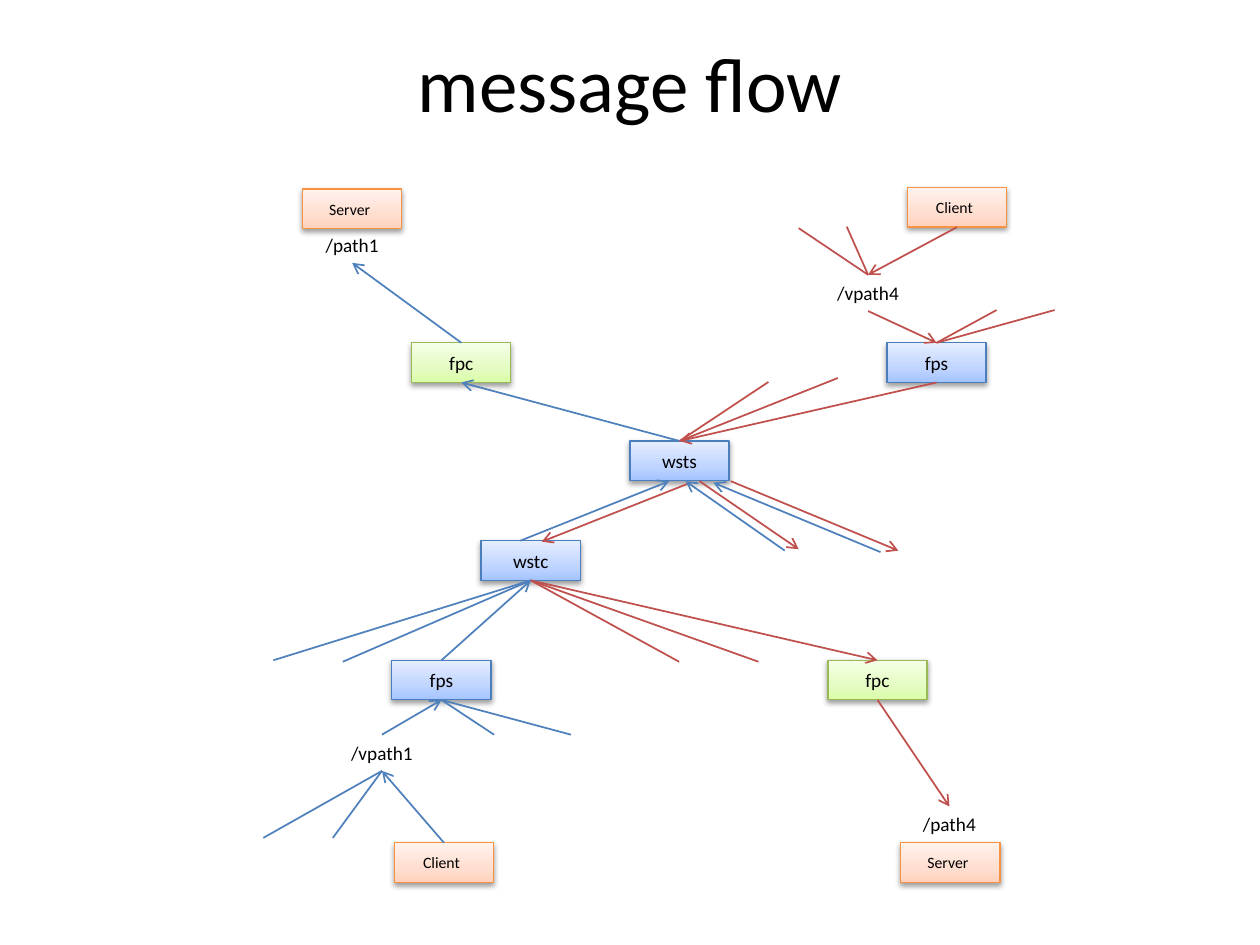
from typing import NamedTuple, Union

from lxml.etree import SubElement
from pptx import Presentation
from pptx.dml.color import RGBColor
from pptx.enum.shapes import MSO_CONNECTOR as CONN, MSO_SHAPE as SHAPE
from pptx.enum.text import MSO_ANCHOR as ANCHOR, PP_ALIGN as ALIGN
from pptx.oxml import parse_xml
from pptx.oxml.ns import nsdecls, qn
from pptx.util import Cm, Pt

BLUE, RED, BLACK = "4F81BD", "C0504D", "000000"
TOP, BOTTOM = 0, 2  # connection sites of a rectangle
BOX_W, BOX_H, LABEL_H = 2.0, 0.8, 0.73


class Style(NamedTuple):
    line: str
    stops: tuple[str, str, str]  # gradient from bottom to top
    size: int
    margin_right: float


class Node(NamedTuple):
    key: str
    text: str
    left: float
    top: float
    style: Union[Style, None] = None  # None: plain label


class Port(NamedTuple):
    key: str
    site: int


class Point(NamedTuple):
    x: float
    y: float


End = Union[Port, Point]


class Flow(NamedTuple):
    color: str
    start: End
    end: End


class Fan(NamedTuple):
    color: str
    hub: Port
    ends: tuple[Point, ...]


SOCKET = Style("4B7EBC", ("A4C4FF", "BFD4FF", "E6EEFF"), 11, 0)
PROXY = Style("98B955", ("DAFDA7", "E4FCC2", "F5FFE7"), 11, 0)
ENDPOINT = Style("F69240", ("FFD2BD", "FFDED0", "FFF2ED"), 9, 0.1)

NODES = [
    Node("wsts", "wsts", 12.7, 8.89, SOCKET),
    Node("wstc", "wstc", 9.7, 10.9, SOCKET),
    # Upper left and lower left: blue route
    Node("server1", "Server", 6.1, 3.81, ENDPOINT),
    Node("path1", "/path1", 6.1, 4.57),
    Node("fpc1", "fpc", 8.3, 6.91, PROXY),
    Node("fps1", "fps", 7.9, 13.31, SOCKET),
    Node("vpath1", "/vpath1", 6.7, 14.81),
    Node("client1", "Client", 7.95, 16.99, ENDPOINT),
    # Upper right and lower right: red route
    Node("client4", "Client", 18.29, 3.78, ENDPOINT),
    Node("vpath4", "/vpath4", 16.5, 5.54),
    Node("fps4", "fps", 17.88, 6.91, SOCKET),
    Node("fpc4", "fpc", 16.69, 13.31, PROXY),
    Node("path4", "/path4", 18.14, 16.26),
    Node("server4", "Server", 18.16, 16.99, ENDPOINT),
]

FLOWS = [
    Flow(BLUE, Port("client1", TOP), Port("vpath1", BOTTOM)),
    Flow(BLUE, Port("vpath1", TOP), Port("fps1", BOTTOM)),
    Flow(BLUE, Port("fps1", TOP), Port("wstc", BOTTOM)),
    Flow(BLUE, Point(10.49, 10.9), Point(13.49, 9.7)),
    Flow(BLUE, Port("wsts", TOP), Port("fpc1", BOTTOM)),
    Flow(BLUE, Port("fpc1", TOP), Port("path1", BOTTOM)),
    Flow(RED, Port("client4", BOTTOM), Port("vpath4", TOP)),
    Flow(RED, Port("vpath4", BOTTOM), Port("fps4", TOP)),
    Flow(RED, Port("fps4", BOTTOM), Port("wsts", TOP)),
    Flow(RED, Point(13.92, 9.73), Point(10.92, 10.92)),
    Flow(RED, Port("wstc", BOTTOM), Port("fpc4", TOP)),
    Flow(RED, Port("fpc4", BOTTOM), Port("path4", TOP)),
    # Exchange between wsts and other clients
    Flow(RED, Point(14.1, 9.7), Point(16.1, 11.07)),
    Flow(RED, Point(14.73, 9.7), Point(18.11, 11.1)),
    Flow(BLUE, Point(15.82, 11.1), Point(13.82, 9.7)),
    Flow(BLUE, Point(17.75, 11.13), Point(14.38, 9.73)),
]

FANS = [
    Fan(RED, Port("vpath4", TOP), (Point(17.07, 4.57), Point(16.1, 4.6))),
    Fan(RED, Port("fps4", TOP), (Point(20.09, 6.25), Point(21.26, 6.25))),
    Fan(RED, Port("wsts", TOP), (Point(16.89, 7.62), Point(15.49, 7.7))),
    Fan(RED, Port("wstc", BOTTOM), (Point(15.29, 13.34), Point(13.69, 13.34))),
    Fan(BLUE, Port("wstc", BOTTOM), (Point(6.91, 13.34), Point(5.51, 13.31))),
    Fan(BLUE, Port("fps1", BOTTOM), (Point(9.96, 14.81), Point(11.51, 14.81))),
    Fan(BLUE, Port("vpath1", BOTTOM), (Point(6.71, 16.89), Point(5.31, 16.89))),
]


def rgb(color: str) -> RGBColor:
    return RGBColor.from_string(color)


def write(sp, text: str, *, size: int, color: str = BLACK, font: str = "Calibri",
          anchor=ANCHOR.MIDDLE, wrap: bool = True) -> None:
    tf = sp.text_frame
    tf.word_wrap = wrap
    tf.vertical_anchor = anchor
    p = tf.paragraphs[0]
    p.alignment = ALIGN.CENTER
    r = p.add_run()
    r.text = text
    r.font.size, r.font.name = Pt(size), font
    r.font.color.rgb = rgb(color)


def shade(sp, style: Style) -> None:
    """Give a box its vertical gradient and soft shadow."""
    stops = "".join(f'<a:gs pos="{pos}"><a:srgbClr val="{color}"/></a:gs>'
                    for pos, color in zip((0, 35000, 100000), style.stops))
    sp.fill.background()
    spPr = sp.element.spPr
    spPr.replace(spPr.find(qn("a:noFill")), parse_xml(
        f'<a:gradFill {nsdecls("a")} rotWithShape="1"><a:gsLst>{stops}</a:gsLst>'
        '<a:lin ang="16200000" scaled="0"/></a:gradFill>'))
    sp.shadow.inherit = False
    spPr.find(qn("a:effectLst")).append(parse_xml(
        f'<a:outerShdw {nsdecls("a")} blurRad="40000" dist="20000" dir="5400000" '
        'rotWithShape="0"><a:srgbClr val="000000"><a:alpha val="38000"/>'
        '</a:srgbClr></a:outerShdw>'))


def add_node(s, node: Node):
    style = node.style
    place = Cm(node.left), Cm(node.top), Cm(BOX_W)
    if style is None:
        sp = s.shapes.add_textbox(*place, Cm(LABEL_H))
        write(sp, node.text, size=11, anchor=ANCHOR.TOP)
        return sp
    sp = s.shapes.add_shape(SHAPE.RECTANGLE, *place, Cm(BOX_H))
    sp.line.color.rgb = rgb(style.line)
    sp.line.width = Pt(0.75)
    shade(sp, style)
    write(sp, node.text, size=style.size)
    sp.text_frame.margin_left = 0
    sp.text_frame.margin_right = Cm(style.margin_right)
    return sp


def locate(end: End, nodes: dict) -> tuple[int, int]:
    if isinstance(end, Point):
        return Cm(end.x), Cm(end.y)
    sp = nodes[end.key]
    return sp.left + sp.width // 2, sp.top + (sp.height if end.site == BOTTOM else 0)


def add_line(s, nodes: dict, flow: Flow, arrow: bool) -> None:
    line = s.shapes.add_connector(
        CONN.STRAIGHT, *locate(flow.start, nodes), *locate(flow.end, nodes))
    for end, connect in ((flow.start, line.begin_connect), (flow.end, line.end_connect)):
        if isinstance(end, Port):
            connect(nodes[end.key], end.site)
    line.line.color.rgb = rgb(flow.color)
    line.line.width = Pt(1)
    spPr = line._element.spPr
    if arrow:
        SubElement(spPr.find(qn("a:ln")), qn("a:tailEnd"), type="arrow")
    SubElement(spPr, qn("a:effectLst"))


prs = Presentation()
prs.slide_width, prs.slide_height = Cm(25.4), Cm(19.05)
s = prs.slides.add_slide(prs.slide_layouts[5])

# Title
title = s.shapes.title
title.left, title.top, title.width, title.height = Cm(1.27), Cm(0.46), Cm(22.86), Cm(2.39)
write(title, "message flow", size=44)

# Boxes and labels
nodes = {node.key: add_node(s, node) for node in NODES}

# Message arrows, then the plain side branches
for flow in FLOWS:
    add_line(s, nodes, flow, arrow=True)
for fan in FANS:
    for end in fan.ends:
        add_line(s, nodes, Flow(fan.color, fan.hub, end), arrow=False)

prs.save("out.pptx")
